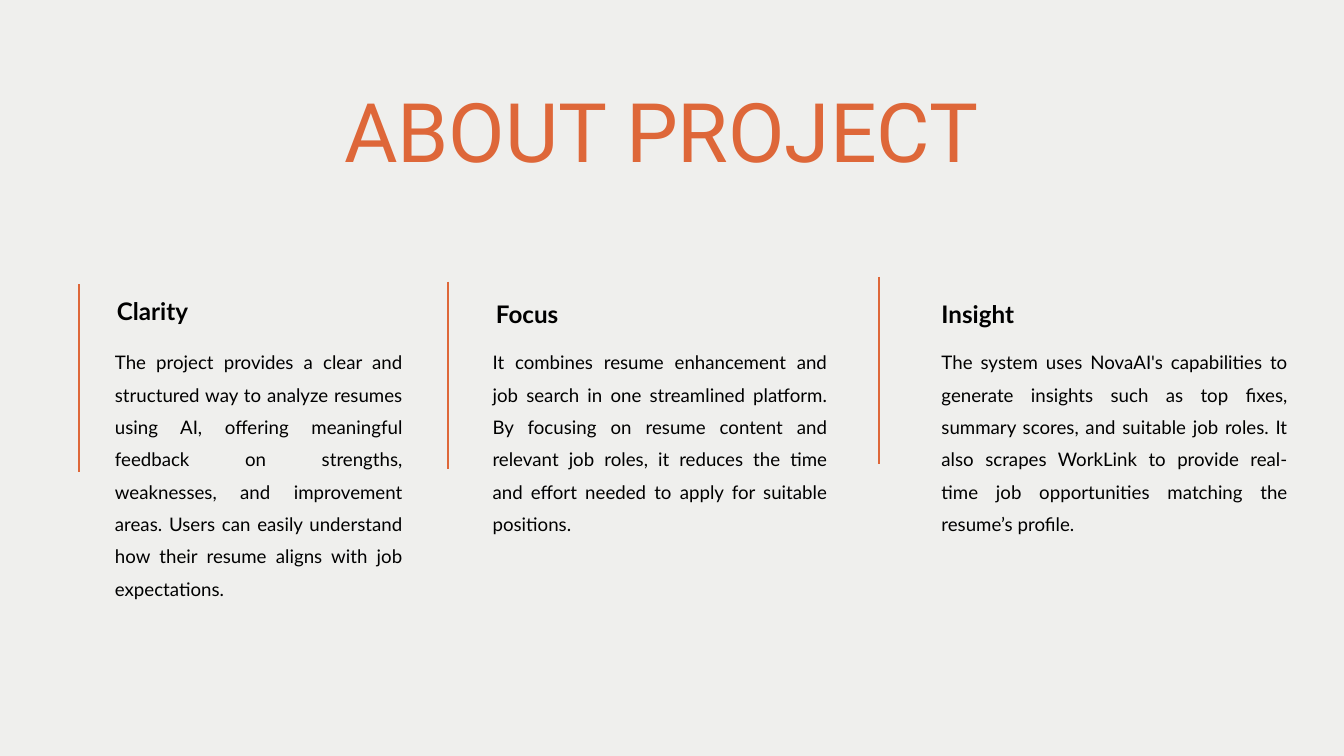
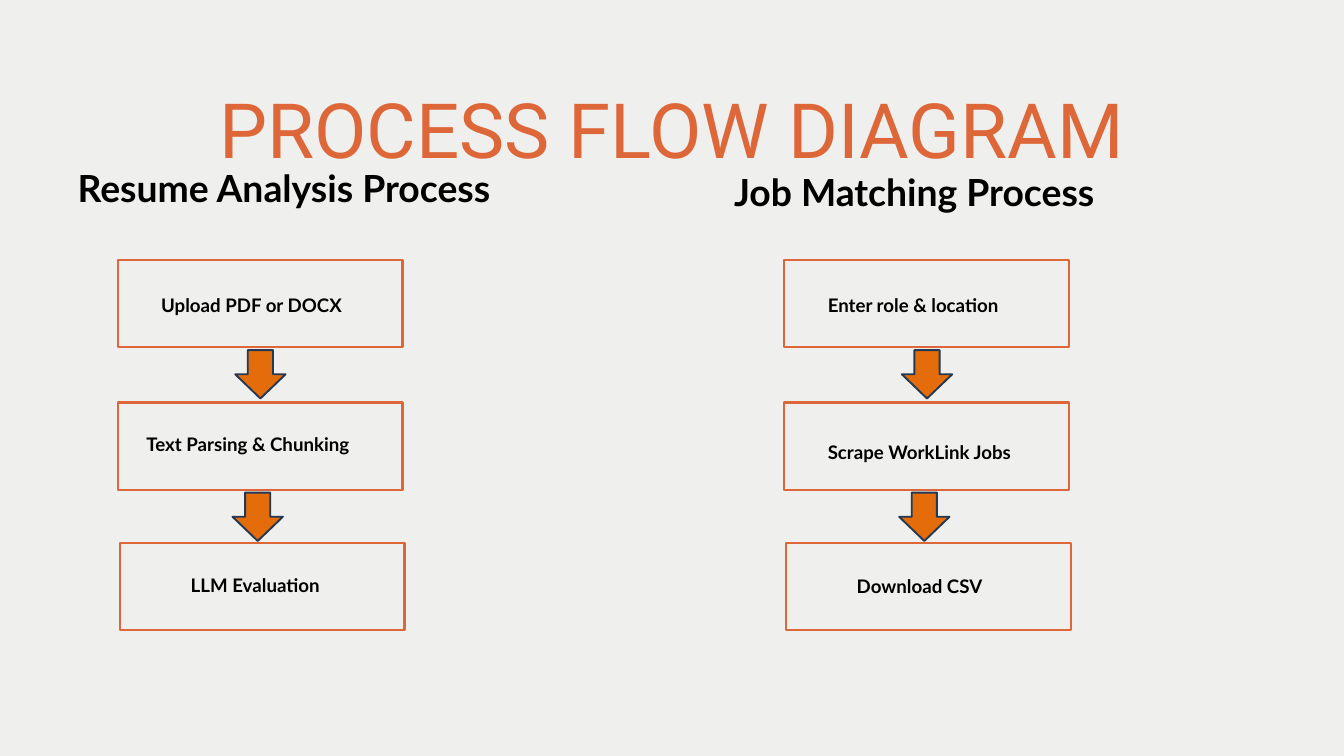
from lxml.etree import SubElement
from pptx import Presentation
from pptx.dml.color import RGBColor
from pptx.enum.shapes import MSO_CONNECTOR, MSO_SHAPE
from pptx.enum.text import MSO_ANCHOR, MSO_AUTO_SIZE, PP_ALIGN
from pptx.oxml.ns import qn
from pptx.util import Inches, Pt

# Shared colours and text formats
BACKGROUND = RGBColor(0xEF, 0xEF, 0xED)
ACCENT = RGBColor(0xDE, 0x67, 0x39)
ARROW_FILL = RGBColor(0xE4, 0x6C, 0x0A)
ARROW_LINE = RGBColor(0x23, 0x39, 0x53)
BLACK = RGBColor(0, 0, 0)

TITLE_FONT = {"name": "Roboto", "bold": False}
BODY_FONT = {"name": "Lato", "size": Pt(20), "bold": False}
LABEL_FONT = {**BODY_FONT, "bold": True}
COLUMN_HEADING_FONT = {**LABEL_FONT, "size": Pt(25.9)}
FLOW_HEADING_FONT = {**LABEL_FONT, "size": Pt(40)}

# Column: rule position, heading position, body left and size, heading, text
COLUMNS = [
    ((1.17, 4.23), (1.74, 4.19), (1.71, 4.28, 4.87), "Clarity",
     "The project provides a clear and structured way to analyze resumes using AI, "
     "offering meaningful feedback on strengths, weaknesses, and improvement areas. "
     "Users can easily understand how their resume aligns with job expectations."),
    ((6.67, 4.19), (7.38, 4.23), (7.33, 4.98, 3.4), "Focus",
     "It combines resume enhancement and job search in one streamlined platform. "
     "By focusing on resume content and relevant job roles, it reduces the time and "
     "effort needed to apply for suitable positions."),
    ((13.08, 4.12), (14.01, 4.23), (14.01, 5.15, 3.89), "Insight",
     "The system uses NovaAI's capabilities to generate insights such as top fixes, "
     "summary scores, and suitable job roles. It also scrapes WorkLink to provide "
     "real-time job opportunities matching the resume’s profile."),
]

# Flow: left edge, heading box, steps as (label, label offset x, y, width)
FLOWS = [
    (1.75, (0.67, 2.79, 7.11, 0.42), "Resume Analysis Process",
     [("Upload PDF or DOCX", 0.55, 0.45, 3.14),
      ("Text Parsing & Chunking", 0.33, 0.4, 3.75),
      ("LLM Evaluation", 0.96, 0.41, 2.33)]),
    (11.67, (10.42, 2.86, 6.37, 0.42), "Job Matching Process",
     [("Enter role & location", 0.55, 0.45, 3.36),
      ("Scrape WorkLink Jobs", 0.55, 0.52, 3.2),
      ("Download CSV", 0.95, 0.43, 2.33)]),
]
STEP_OFFSETS = [(0, 3.87), (0, 5.99), (0.03, 8.08)]
ARROW_OFFSETS = [(1.75, 5.21), (1.71, 7.33)]


def inches(*lengths):
    return [Inches(length) for length in lengths]


def write_text(shape, text, font, color=BLACK, align=PP_ALIGN.LEFT, spacing=None, inset=0):
    frame = shape.text_frame
    frame_format = {"word_wrap": True, "auto_size": MSO_AUTO_SIZE.NONE,
                    "vertical_anchor": MSO_ANCHOR.TOP}
    if inset is not None:
        for side in ("left", "top", "right", "bottom"):
            frame_format[f"margin_{side}"] = Inches(inset)
    for name, value in frame_format.items():
        setattr(frame, name, value)
    paragraph = frame.paragraphs[0]
    paragraph.text = text
    paragraph.alignment = align
    if spacing:
        paragraph.line_spacing = Pt(spacing)
    for name, value in font.items():
        setattr(paragraph.font, name, value)
    paragraph.font.color.rgb = color


def add_text(slide, box, text, font, **options):
    write_text(slide.shapes.add_textbox(*inches(*box)), text, font, **options)


def add_block(slide, kind, box, fill, line, width):
    shape = slide.shapes.add_shape(kind, *inches(*box))
    shape.shadow.inherit = False
    shape.fill.solid()
    shape.fill.fore_color.rgb = fill
    shape.line.color.rgb = line
    shape.line.width = Pt(width)


def add_titled_slide(presentation, text, box, size, spacing):
    slide = presentation.slides.add_slide(presentation.slide_layouts[5])
    title = slide.shapes.title
    title.left, title.top, title.width, title.height = inches(*box)
    write_text(title, text, {**TITLE_FONT, "size": Pt(size)}, color=ACCENT,
               align=PP_ALIGN.CENTER, spacing=spacing)
    return slide


def add_column(slide, rule, heading_at, body, heading, text):
    # Vertical rule
    left, top = rule
    connector = slide.shapes.add_connector(
        MSO_CONNECTOR.STRAIGHT, *inches(left, top, left, top + 2.79))
    connector.line.color.rgb = ACCENT
    connector.line.width = Pt(2.25)
    SubElement(connector._element.spPr, qn("a:effectLst"))

    # Heading and body
    add_text(slide, (*heading_at, 3.54, 0.61), heading, COLUMN_HEADING_FONT, spacing=47.1)
    body_left, width, height = body
    add_text(slide, (body_left, 5.08, width, height), text, BODY_FONT,
             align=PP_ALIGN.JUSTIFY, spacing=34.6)


def add_flow(slide, left, heading_box, heading, steps):
    add_text(slide, heading_box, heading, FLOW_HEADING_FONT,
             align=PP_ALIGN.CENTER, spacing=23.8)

    # Steps with their labels
    for (step_x, top), (label, label_x, label_y, width) in zip(STEP_OFFSETS, steps):
        add_block(slide, MSO_SHAPE.RECTANGLE, (left + step_x, top, 4.24, 1.3),
                  BACKGROUND, ACCENT, 2.25)
        add_text(slide, (left + step_x + label_x, top + label_y, width, 0.44),
                 label, LABEL_FONT, inset=None)

    # Arrows between steps
    for arrow_x, top in ARROW_OFFSETS:
        add_block(slide, MSO_SHAPE.DOWN_ARROW, (left + arrow_x, top, 0.75, 0.72),
                  ARROW_FILL, ARROW_LINE, 2)


def build_about(presentation):
    slide = add_titled_slide(presentation, "ABOUT PROJECT", (3.21, 0.93, 13.26, 1.3), 88, 124.3)
    for column in COLUMNS:
        add_column(slide, *column)


def build_process(presentation):
    slide = add_titled_slide(presentation, "PROCESS FLOW DIAGRAM", (0, 0.99, 20, 1.54), 81.6, 115.1)
    for flow in FLOWS:
        add_flow(slide, *flow)


def main():
    presentation = Presentation()
    presentation.slide_width, presentation.slide_height = inches(20, 11.25)
    background = presentation.slide_master.background.fill
    background.solid()
    background.fore_color.rgb = BACKGROUND
    build_about(presentation)
    build_process(presentation)
    presentation.save("out.pptx")


if __name__ == "__main__":
    main()
